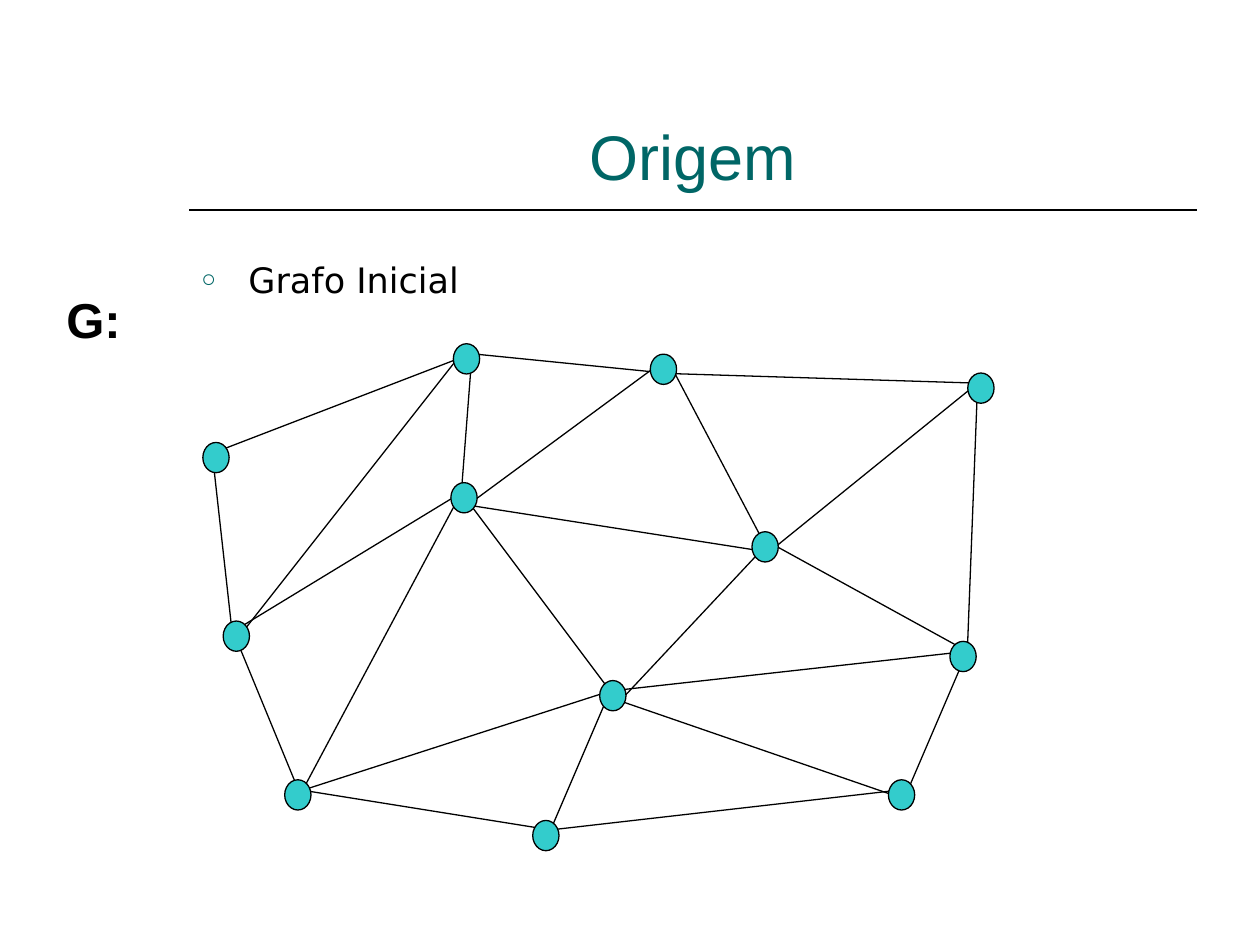
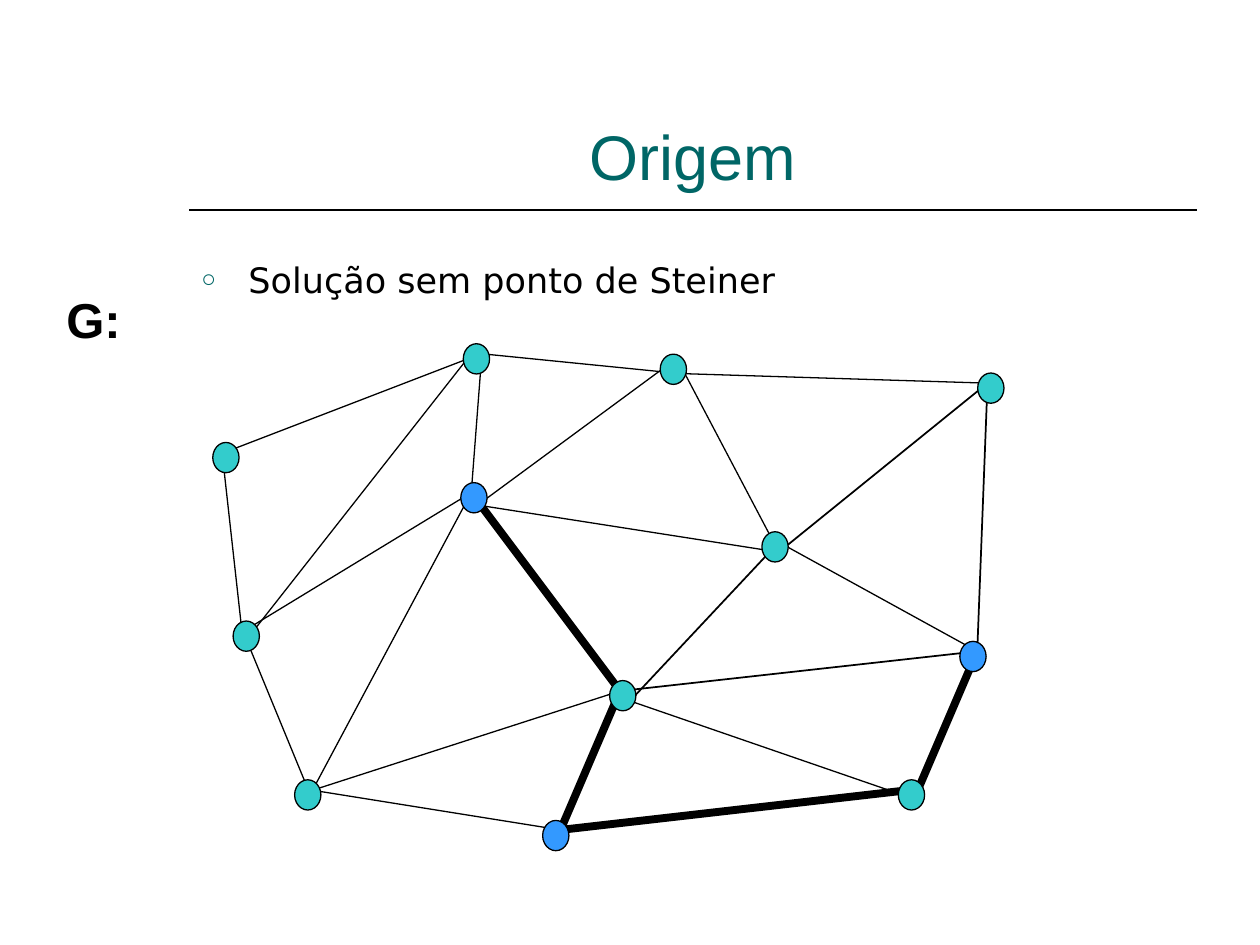
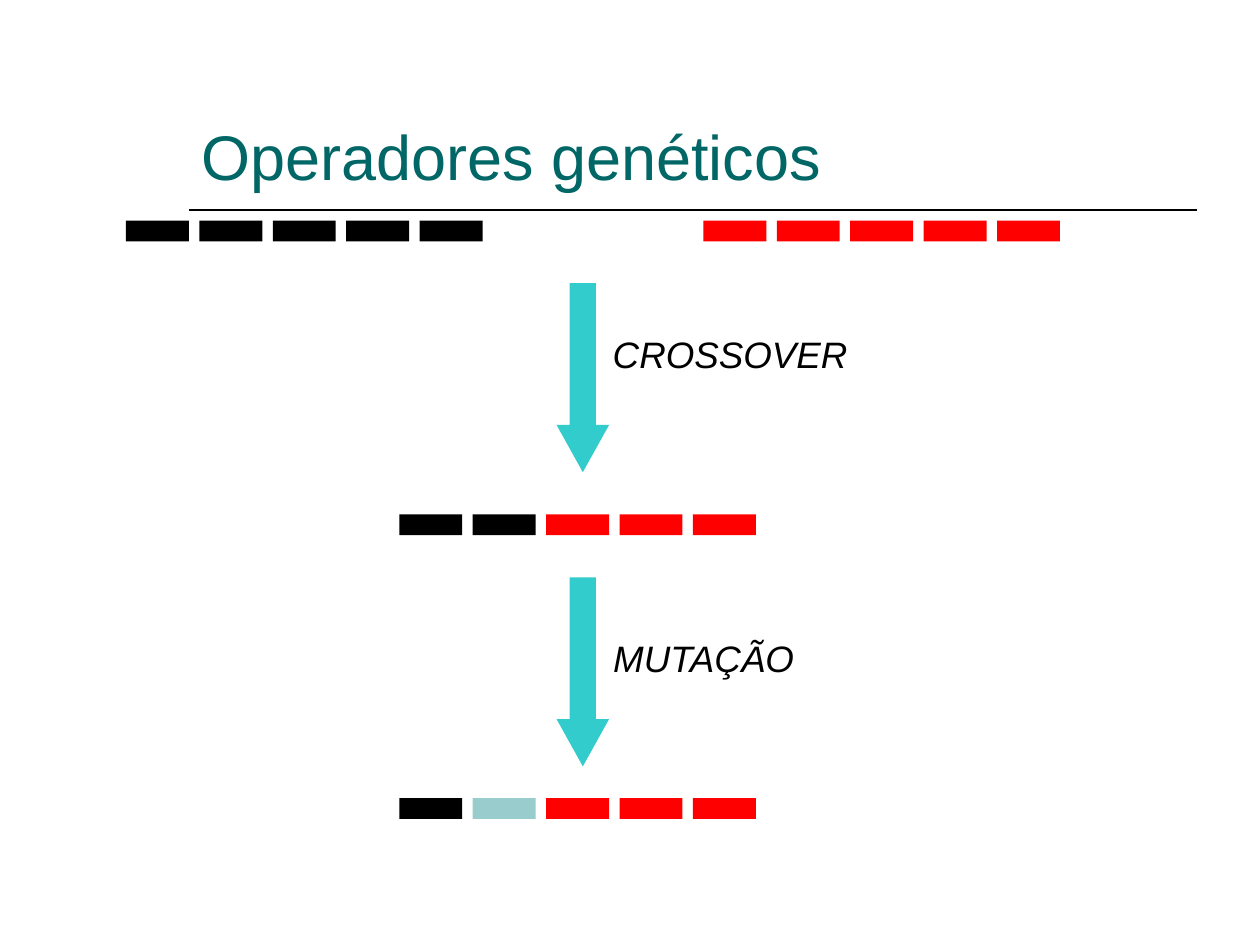
from lxml import etree
from pptx import Presentation
from pptx.dml.color import RGBColor
from pptx.enum.shapes import MSO_CONNECTOR as Link, MSO_SHAPE as Form
from pptx.enum.text import MSO_ANCHOR as Anchor, PP_ALIGN as Align
from pptx.oxml.ns import qn
from pptx.util import Cm, Pt

BLACK, RED, DARK, PALE = "000000", "FF0000", "006666", "99CCCC"
AQUA, BLUE = "33CCCC", "3399FF"


def tint(code):
    return RGBColor.from_string(code)


def write(slide, words, box, size, color=BLACK, font="Arial", bold=False,
          slant=False, align=Align.LEFT, anchor=Anchor.TOP, mark=None):
    frame = slide.shapes.add_textbox(*map(Cm, box)).text_frame
    frame.word_wrap = True
    frame.vertical_anchor = anchor
    para = frame.paragraphs[0]
    para.alignment = align
    if mark:
        props = para._p.get_or_add_pPr()
        props.set("marL", str(Cm(0.95)))
        props.set("indent", str(-Cm(0.95)))
        shade = etree.SubElement(props, qn("a:buClr"))
        etree.SubElement(shade, qn("a:srgbClr"), val=DARK)
        etree.SubElement(props, qn("a:buSzPct"), val="70000")
        etree.SubElement(props, qn("a:buFont"), typeface="Arial")
        etree.SubElement(props, qn("a:buChar"), char=mark)
    run = para.add_run()
    run.text = words
    run.font.name, run.font.size = font, Pt(size)
    run.font.bold, run.font.italic = bold, slant
    run.font.color.rgb = tint(color)


THIN, MID, THICK = 0.75, 1, 4.5
edges = [
    (6.1, 16.13, 4.7, 12.73, THIN),
    (4.3, 9.33, 4.7, 12.93, THIN),
    (6.1, 15.93, 11.1, 16.73, THIN),
    (6.1, 15.93, 12.3, 13.93, THIN),
    (11.1, 16.73, 12.3, 13.93, THICK),
    (6.1, 15.93, 9.3, 9.93, THIN),
    (4.7, 12.73, 9.3, 9.93, THIN),
    (4.9, 12.73, 9.3, 7.13, THIN),
    (4.3, 9.13, 9.5, 7.13, THIN),
    (9.5, 7.13, 13.5, 7.53, THIN),
    (9.3, 9.93, 9.5, 7.33, THIN),
    (9.5, 10.13, 13.3, 7.33, THIN),
    (9.1, 10.13, 15.5, 11.13, THIN),
    (12.5, 14.13, 15.5, 10.93, MID),
    (9.3, 9.93, 12.3, 13.93, THICK),
    (11.1, 16.73, 18.1, 15.93, THICK),
    (12.5, 14.13, 18.3, 16.13, THIN),
    (18.3, 15.93, 19.5, 13.13, THICK),
    (15.5, 10.93, 19.5, 13.13, THIN),
    (19.5, 13.13, 19.7, 7.93, MID),
    (15.5, 11.13, 19.7, 7.73, MID),
    (15.5, 11.13, 13.5, 7.33, THIN),
    (13.5, 7.53, 19.9, 7.73, THIN),
    (12.3, 13.93, 19.5, 13.13, MID),
]
nodes = [
    (4.09, 8.92, AQUA), (4.5, 12.52, AQUA), (5.74, 15.72, AQUA),
    (10.74, 16.54, BLUE), (17.91, 15.72, AQUA), (12.09, 13.72, AQUA),
    (15.16, 10.72, AQUA), (19.51, 7.52, AQUA), (13.11, 7.14, AQUA),
    (9.14, 6.93, AQUA), (9.09, 9.73, BLUE), (19.15, 12.93, BLUE),
]
genes = [
    (2.54, 4.45, [BLACK] * 5),
    (14.18, 4.45, [RED] * 5),
    (8.05, 10.37, [BLACK] * 2 + [RED] * 3),
    (8.05, 16.09, [BLACK, PALE] + [RED] * 3),
]
steps = [
    ("CROSSOVER", 5.71, (11.86, 6.56, 5.72, 1.14)),
    ("MUTAÇÃO", 11.64, (12.07, 12.7, 4.23, 1.14)),
]
pages = [
    ("Origem", Align.CENTER, "Grafo Inicial", False),
    ("Origem", Align.CENTER, "Solução sem ponto de Steiner", True),
    ("Operadores genéticos", Align.LEFT, None, False),
]

deck = Presentation()
deck.slide_width, deck.slide_height = Cm(25.4), Cm(19.05)

for title, align, topic, solved in pages:
    slide = deck.slides.add_slide(deck.slide_layouts[6])
    lines = [(3.81, 4.23, 24.13, 4.23, MID)]
    forms = []
    if topic:
        shift = 0.2 if solved else 0
        for x, y, right, low, width in edges:
            lines.append((x + shift, y, right + shift, low,
                          width if solved else THIN))
        for x, y, color in nodes:
            forms.append((Form.OVAL, (x + shift, y, 0.53, 0.61),
                          color if solved else AQUA))
    else:
        for left, top, colors in genes:
            for i, color in enumerate(colors):
                forms.append((Form.RECTANGLE,
                              (left + 1.48 * i, top, 1.27, 0.42), color))
        for label, top, box in steps:
            forms.append((Form.DOWN_ARROW, (11.22, top, 1.06, 3.81), AQUA))

    for *ends, width in lines:
        line = slide.shapes.add_connector(Link.STRAIGHT, *map(Cm, ends))
        line.line.color.rgb = tint(BLACK)
        line.line.width = Pt(width)
        etree.SubElement(line._element.spPr, qn("a:effectLst"))

    for kind, box, color in forms:
        form = slide.shapes.add_shape(kind, *map(Cm, box))
        form.shadow.inherit = False
        form.fill.solid()
        form.fill.fore_color.rgb = tint(color)
        if kind == Form.OVAL:
            form.line.color.rgb = tint(BLACK)
            form.line.width = Pt(THIN)
        else:
            form.line.fill.background()
        if kind == Form.DOWN_ARROW:
            form.adjustments[1] = 0.9

    write(slide, title, (3.81, 0.84, 20.32, 3.18), 36, color=DARK,
          align=align, anchor=Anchor.BOTTOM)
    if topic:
        write(slide, "G:", (1.09, 5.72, 2.01, 1.45), 28, bold=True)
        write(slide, topic, (3.81, 5.08, 20.32, 11.43), 20,
              font="DejaVu Sans", mark="○")
    else:
        for label, top, box in steps:
            write(slide, label, box, 21, slant=True, align=Align.CENTER)

deck.save("out.pptx")
